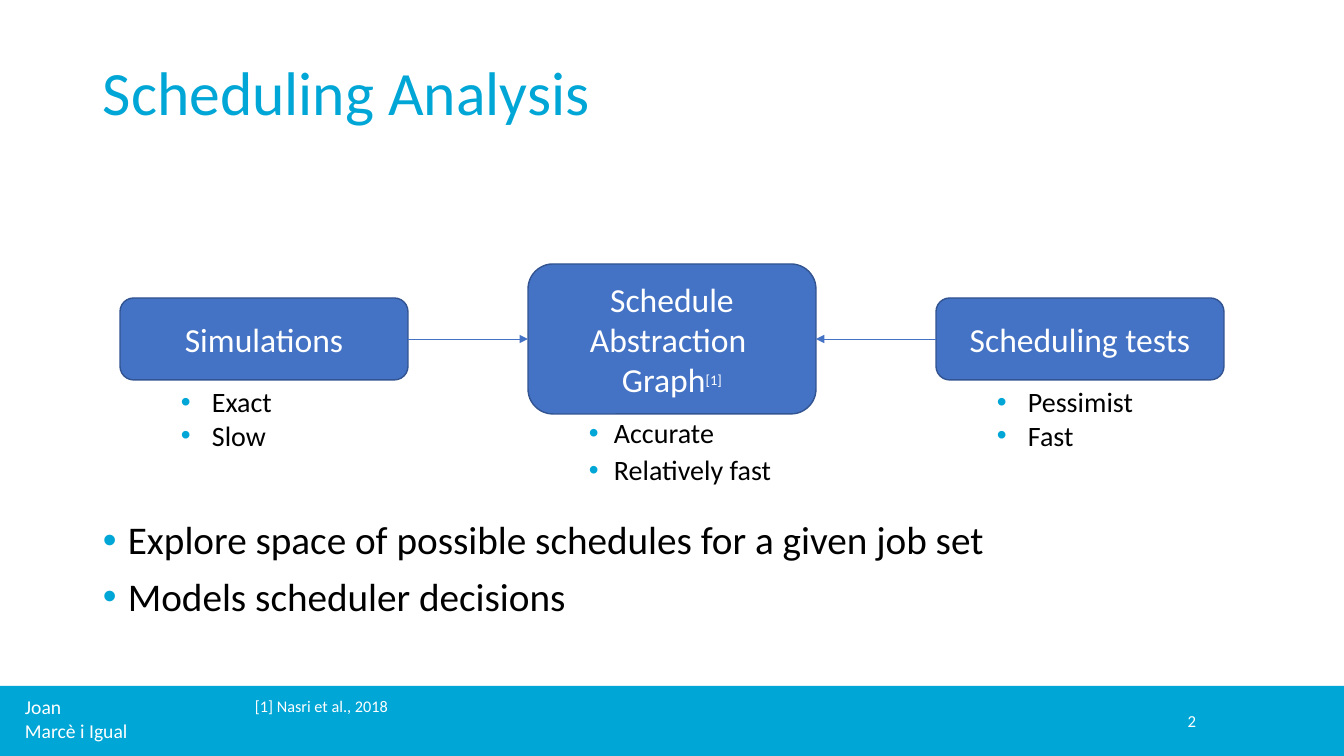
from pptx import Presentation
from pptx import util as u
from pptx.dml.color import RGBColor
from pptx.enum import shapes, text
from pptx.oxml.ns import qn
from lxml import etree

# Content
TITLE = "Scheduling Analysis"
AUTHOR = ["Joan", "Marcè i Igual"]
REFERENCE = "[1] Nasri et al., 2018"
PAGE_NUMBER = "2"
POINTS = ["Explore space of possible schedules for a given job set",
          "Models scheduler decisions"]
# Each method: label lines (a line is a list of spans), traits, box height,
# traits height, trait format
OUTER = dict(indent=82, hang=31)
INNER = dict(indent=76, hang=25, line=0.9, before=5)
METHODS = [
    (["Simulations"], ["Exact", "Slow"], 82, 78, OUTER),
    (["Schedule Abstraction ", [("Graph", {}), ("[1]", dict(size=18, raised=True))]],
     ["Accurate", "Relatively fast"], 150, 79, INNER),
    (["Scheduling tests"], ["Pessimist", "Fast"], 82, 78, OUTER),
]

# Geometry in px and colours
WIDTH, HEIGHT = 1344, 756
BAR_TOP = 686
BOX_LEFT, BOX_WIDTH, BOX_STEP, BOX_MIDDLE = 120, 288, 408, 339
CYAN, BLUE, EDGE, WHITE, BLACK = "00A6D6", "4472C4", "325491", "FFFFFF", "000000"
FONT = "Calibri"


def px(value):
    return round(value * 914400 / 100.8)


def color(value):
    return RGBColor.from_string(value)


def write(shape, lines, size=20, ink=WHITE, align=None, middle=False, raised=False,
          indent=0, hang=0, line=None, before=None):
    frame = shape.text_frame
    frame.word_wrap = True
    frame.vertical_anchor = text.MSO_ANCHOR.MIDDLE if middle else text.MSO_ANCHOR.TOP
    for number, content in enumerate(lines):
        para = frame.paragraphs[0] if number == 0 else frame.add_paragraph()
        para.alignment = align
        para.line_spacing = line
        if before:
            para.space_before = u.Pt(before)
        if hang:
            props = para._p.get_or_add_pPr()
            props.set("marL", str(px(indent)))
            props.set("indent", str(-px(hang)))
            tint = etree.SubElement(props, qn("a:buClr"))
            etree.SubElement(tint, qn("a:srgbClr"), val=CYAN)
            etree.SubElement(props, qn("a:buFont"), typeface="Arial")
            etree.SubElement(props, qn("a:buChar"), char="•")
        spans = [(content, {})] if isinstance(content, str) else content
        for words, change in spans:
            span = para.add_run()
            span.text = words
            span.font.name = FONT
            span.font.size = u.Pt(change.get("size", size))
            span.font.color.rgb = color(ink)
            if change.get("raised", raised):
                span.font._element.set("baseline", "30000")


def add_text(left, top, width, height, lines, **form):
    box = page.shapes.add_textbox(px(left), px(top), px(width), px(height))
    write(box, lines, **form)


def add_block(kind, left, top, width, height, fill, edge=None):
    block = page.shapes.add_shape(kind, px(left), px(top), px(width), px(height))
    block.shadow.inherit = False
    block.fill.solid()
    block.fill.fore_color.rgb = color(fill)
    if edge:
        block.line.color.rgb = color(edge)
        block.line.width = u.Pt(1)
    else:
        block.line.fill.background()
    return block


def add_arrow(start, start_side, end, end_side):
    arrow = page.shapes.add_connector(shapes.MSO_CONNECTOR.STRAIGHT, 0, 0, 0, 0)
    arrow.begin_connect(start, start_side)
    arrow.end_connect(end, end_side)
    arrow.line.color.rgb = color(BLUE)
    arrow.line.width = u.Pt(0.5)
    etree.SubElement(arrow.line._get_or_add_ln(), qn("a:tailEnd"), type="triangle")
    etree.SubElement(arrow._element.spPr, qn("a:effectLst"))


deck = Presentation()
deck.slide_width, deck.slide_height = px(WIDTH), px(HEIGHT)
page = deck.slides.add_slide(deck.slide_layouts[6])

# Footer
add_block(shapes.MSO_SHAPE.RECTANGLE, 0, BAR_TOP, WIDTH, HEIGHT - BAR_TOP, CYAN)
add_text(15, 690, 124, 58, AUTHOR, size=14)
add_text(245, 688, 391, 44, [REFERENCE], raised=True)
add_text(950, 701, 256, 40, [PAGE_NUMBER], size=12, align=text.PP_ALIGN.RIGHT, middle=True)

# Title
add_text(93, 40, 1159, 112, [TITLE], size=44, ink=CYAN, middle=True, line=0.9)

# Methods with their traits
boxes = []
for column, (label, traits, height, traits_height, form) in enumerate(METHODS):
    left = BOX_LEFT + column * BOX_STEP
    top = BOX_MIDDLE - height // 2
    box = add_block(shapes.MSO_SHAPE.ROUNDED_RECTANGLE, left, top, BOX_WIDTH, height,
                    BLUE, EDGE)
    write(box, label, size=24, align=text.PP_ALIGN.CENTER, middle=True)
    add_text(left, top + height, BOX_WIDTH, traits_height, traits, ink=BLACK, **form)
    boxes.append(box)

# Arrows towards the middle method
simulations, graph, tests = boxes
add_arrow(simulations, 3, graph, 1)
add_arrow(tests, 1, graph, 3)

# Main points
add_text(93, 516, 1159, 125, POINTS, size=28, ink=BLACK, indent=25, hang=25,
         line=0.9, before=10)

deck.save("out.pptx")
